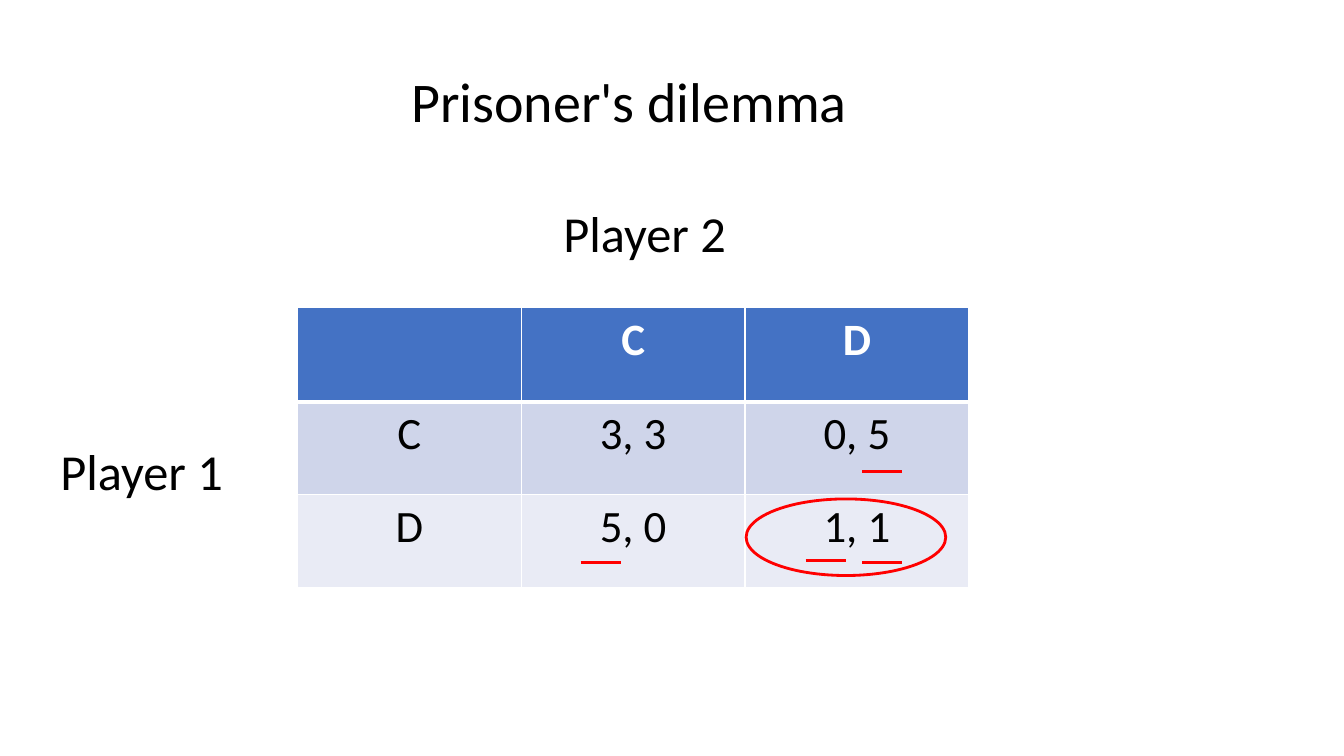
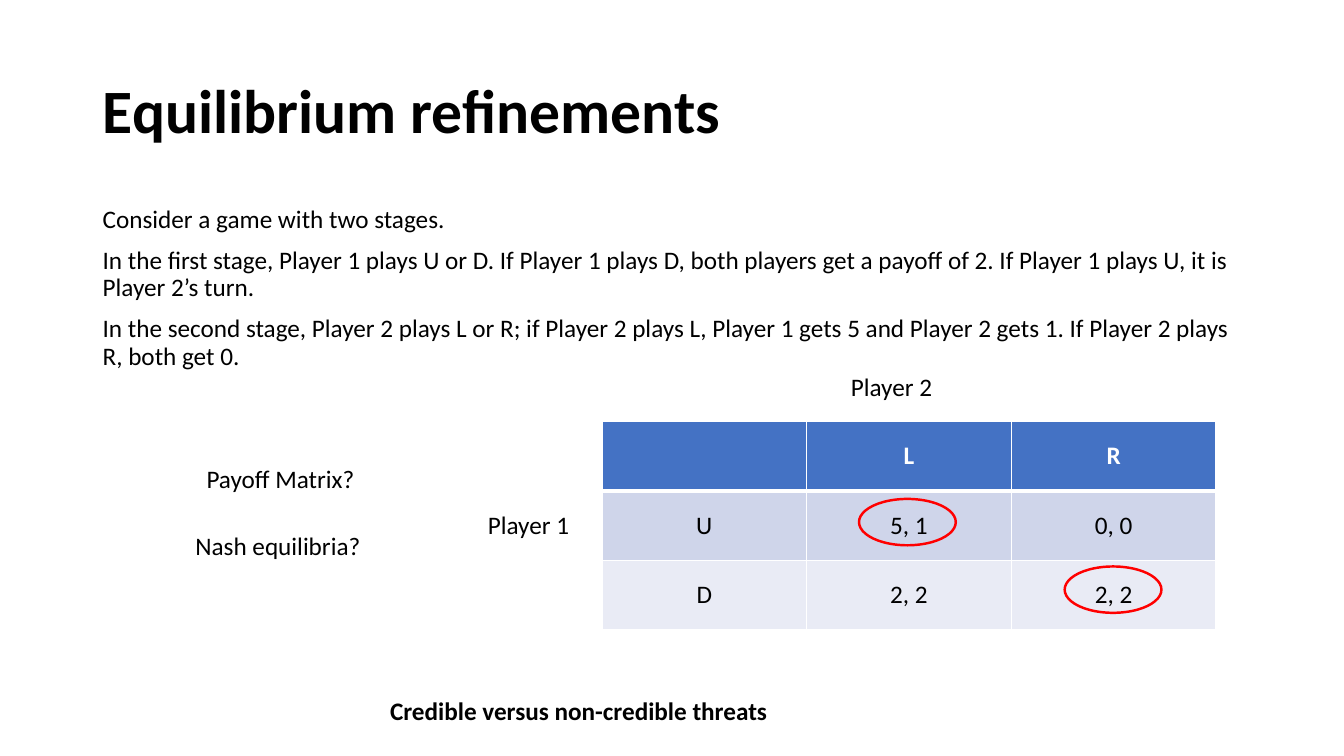
from dataclasses import dataclass

from lxml.etree import SubElement
from pptx import Presentation
from pptx.dml.color import RGBColor
from pptx.enum.shapes import MSO_CONNECTOR, MSO_SHAPE
from pptx.enum.text import MSO_ANCHOR, MSO_AUTO_SIZE, PP_ALIGN
from pptx.oxml.ns import qn
from pptx.presentation import Presentation as Deck
from pptx.slide import Slide
from pptx.table import _Cell as Cell
from pptx.text.text import TextFrame
from pptx.util import Inches, Pt

FONT = "Calibri"
BLACK = "000000"
WHITE = "FFFFFF"
RED = "FF0000"
ROW_FILLS = ["4472C4", "CFD5EA", "E9EBF5"]
TITLE_LAYOUT = 5


@dataclass
class Frame:
    left: float
    top: float
    width: float
    height: float

    def lengths(self) -> list[Inches]:
        return [Inches(value) for value in (self.left, self.top, self.width, self.height)]


@dataclass
class Label:
    text: str
    frame: Frame
    bold: bool = False


@dataclass
class PayoffMatrix:
    rows: list[list[str]]
    left: float
    top: float
    column_width: float
    row_heights: list[float]
    size: float
    anchor: MSO_ANCHOR


def color(value: str) -> RGBColor:
    return RGBColor.from_string(value)


def format_text(frame: TextFrame, size: float, bold: bool = False, ink: str = BLACK) -> None:
    for para in frame.paragraphs:
        for span in para.runs:
            span.font.name = FONT
            span.font.size = Pt(size)
            span.font.bold = bold
            span.font.color.rgb = color(ink)


def add_titled_slide(deck: Deck, text: str, frame: Frame, size: float,
                     bold: bool, anchor: MSO_ANCHOR, spacing: float) -> Slide:
    page = deck.slides.add_slide(deck.slide_layouts[TITLE_LAYOUT])
    title = page.shapes.title
    title.left, title.top, title.width, title.height = frame.lengths()
    title.text_frame.text = text
    title.text_frame.auto_size = MSO_AUTO_SIZE.NONE
    title.text_frame.vertical_anchor = anchor
    para = title.text_frame.paragraphs[0]
    para.alignment = PP_ALIGN.LEFT
    para.line_spacing = spacing
    format_text(title.text_frame, size, bold)
    return page


def add_label(page: Slide, label: Label, size: float) -> None:
    box = page.shapes.add_textbox(*label.frame.lengths())
    box.text_frame.word_wrap = False
    box.text_frame.text = label.text
    format_text(box.text_frame, size, label.bold)


def add_body(page: Slide, paragraphs: list[str], frame: Frame, size: float) -> None:
    box = page.shapes.add_textbox(*frame.lengths())
    box.text_frame.word_wrap = True
    box.text_frame.text = "\n".join(paragraphs)
    for para in box.text_frame.paragraphs:
        para.line_spacing = 0.9
        para.space_before = Pt(10)
    format_text(box.text_frame, size)


def add_borders(cell: Cell, row: int) -> None:
    properties = cell._tc.get_or_add_tcPr()
    widths = {"L": 1, "R": 1, "T": 3 if row == 1 else 1, "B": 3 if row == 0 else 1}
    for side, width in widths.items():
        line = SubElement(properties, qn(f"a:ln{side}"), w=str(Pt(width)))
        fill = SubElement(line, qn("a:solidFill"))
        SubElement(fill, qn("a:srgbClr"), val=WHITE)


def add_matrix(page: Slide, matrix: PayoffMatrix) -> None:
    columns = len(matrix.rows[0])
    frame = Frame(matrix.left, matrix.top, columns * matrix.column_width, sum(matrix.row_heights))
    table = page.shapes.add_table(len(matrix.rows), columns, *frame.lengths()).table
    for column in table.columns:
        column.width = Inches(matrix.column_width)
    for row, texts in enumerate(matrix.rows):
        table.rows[row].height = Inches(matrix.row_heights[row])
        for column, text in enumerate(texts):
            cell = table.cell(row, column)
            add_borders(cell, row)
            cell.fill.solid()
            cell.fill.fore_color.rgb = color(ROW_FILLS[row])
            cell.vertical_anchor = matrix.anchor
            cell.text_frame.text = text
            cell.text_frame.paragraphs[0].alignment = PP_ALIGN.CENTER
            header = row == 0
            format_text(cell.text_frame, matrix.size, header, WHITE if header else BLACK)


def add_underline(page: Slide, left: float, top: float) -> None:
    line = page.shapes.add_connector(
        MSO_CONNECTOR.STRAIGHT, Inches(left), Inches(top), Inches(left + 0.4), Inches(top))
    line.line.color.rgb = color(RED)
    line.line.width = Pt(2)
    SubElement(line._element.spPr, qn("a:effectLst"))


def add_ring(page: Slide, frame: Frame, width: float) -> None:
    ring = page.shapes.add_shape(MSO_SHAPE.OVAL, *frame.lengths())
    ring.shadow.inherit = False
    ring.fill.background()
    ring.line.color.rgb = color(RED)
    ring.line.width = Pt(width)


def build_dilemma(deck: Deck) -> None:
    page = add_titled_slide(deck, "Prisoner's dilemma", Frame(3.98, 0.61, 5.37, 0.77),
                            40, False, MSO_ANCHOR.TOP, 1.0)
    add_matrix(page, PayoffMatrix(
        [["", "C", "D"], ["C", "3, 3", "0, 5"], ["D", "5, 0", "1, 1"]],
        2.95, 3.05, 2.22, [0.94, 0.92, 0.92], 32, MSO_ANCHOR.TOP))
    for label in [
        Label("Player 1", Frame(0.5, 4.32, 1.86, 0.71)),
        Label("Player 2", Frame(5.49, 1.96, 1.83, 0.71)),
    ]:
        add_label(page, label, 36)
    for left, top in [(8.55, 4.68), (8.55, 5.58), (5.76, 5.58), (7.99, 5.56)]:
        add_underline(page, left, top)
    add_ring(page, Frame(7.4, 4.95, 1.98, 0.76), 2)


def build_refinements(deck: Deck) -> None:
    page = add_titled_slide(deck, "Equilibrium refinements", Frame(0.92, 0.4, 11.5, 1.45),
                            44, True, MSO_ANCHOR.MIDDLE, 0.9)
    add_body(page, [
        "Consider a game with two stages.",
        "In the first stage, Player 1 plays U or D. If Player 1 plays D, both players get "
        "a payoff of 2. If Player 1 plays U, it is Player 2’s turn.",
        "In the second stage, Player 2 plays L or R; if Player 2 plays L, Player 1 gets 5 "
        "and Player 2 gets 1. If Player 2 plays R, both get 0.",
    ], Frame(0.92, 2, 11.5, 4.76), 18)
    add_matrix(page, PayoffMatrix(
        [["", "L", "R"], ["U", "5, 1", "0, 0"], ["D", "2, 2", "2, 2"]],
        5.97, 4.18, 2.03, [0.69] * 3, 18, MSO_ANCHOR.MIDDLE))
    for label in [
        Label("Payoff Matrix?", Frame(1.95, 4.55, 1.69, 0.4)),
        Label("Credible versus non-credible threats", Frame(3.77, 6.85, 3.97, 0.4), True),
        Label("Nash equilibria?", Frame(1.84, 5.21, 1.86, 0.4)),
        Label("Player 1", Frame(4.74, 5, 1.02, 0.4)),
        Label("Player 2", Frame(8.34, 3.63, 1.02, 0.4)),
    ]:
        add_label(page, label, 18)
    for left, top in [(8.52, 4.95), (10.56, 5.62)]:
        add_ring(page, Frame(left, top, 0.96, 0.46), 1.75)


def main() -> None:
    deck = Presentation()
    deck.slide_width = Inches(13.33)
    deck.slide_height = Inches(7.5)
    build_dilemma(deck)
    build_refinements(deck)
    deck.save("out.pptx")


if __name__ == "__main__":
    main()
